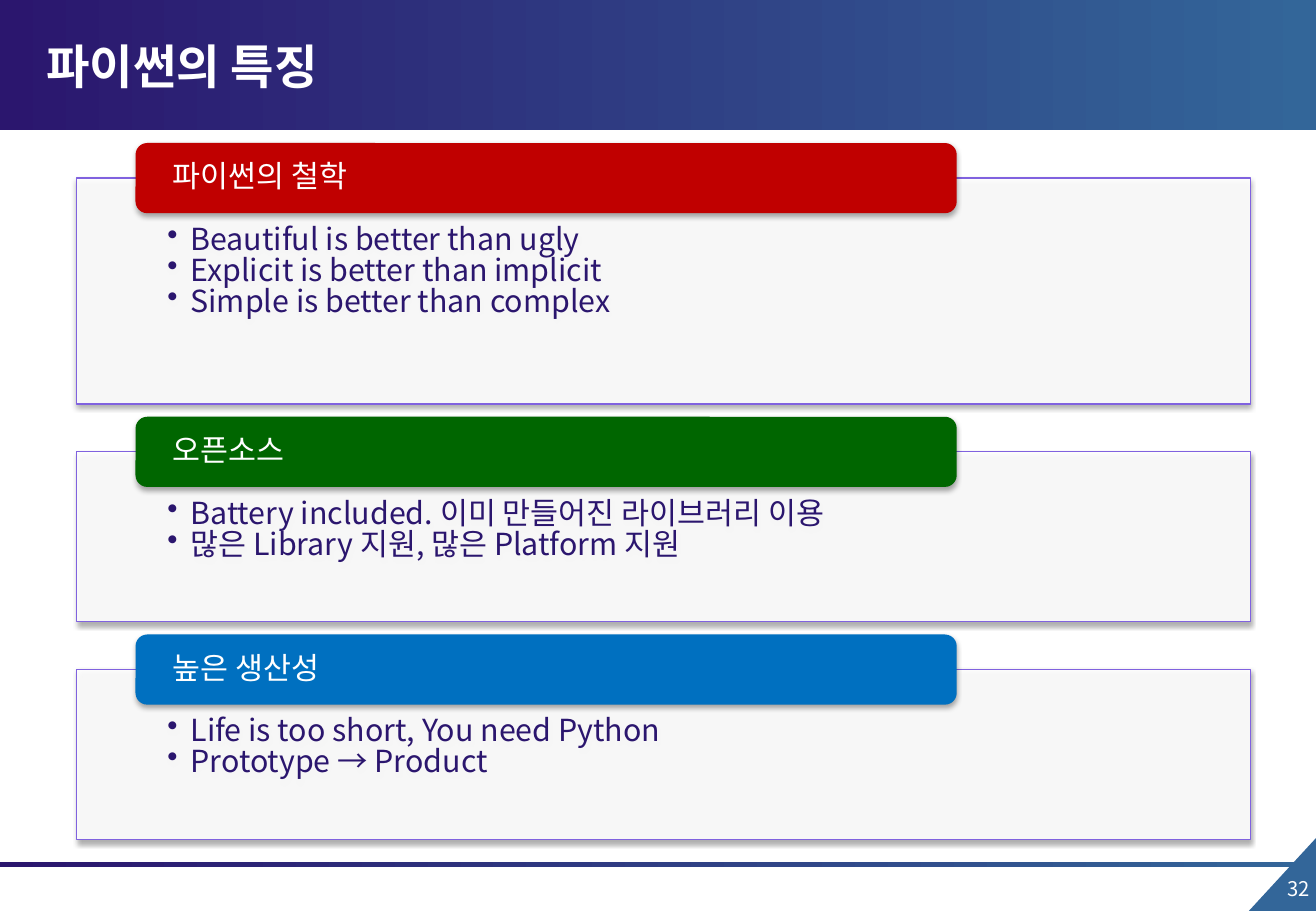
"""Build the slide on the features of Python."""
from lxml.etree import SubElement
from pptx import Presentation
from pptx.dml.color import RGBColor
from pptx.enum.shapes import MSO_SHAPE as Shape
from pptx.enum.text import MSO_ANCHOR as Anchor, MSO_AUTO_SIZE as AutoSize, PP_ALIGN as Align
from pptx.oxml.ns import qn
from pptx.util import Inches, Pt

TITLE = "파이썬의 특징"
PAGE_NUMBER = "32"
SECTIONS = [
    ("파이썬의 철학", "red", 24.8, [
        "Beautiful is better than ugly",
        "Explicit is better than implicit",
        "Simple is better than complex"]),
    ("오픈소스", "green", 18.65, [
        "Battery included. 이미 만들어진 라이브러리 이용",
        "많은 Library 지원, 많은 Platform 지원"]),
    ("높은 생산성", "blue", 18.65, [
        "Life is too short, You need Python",
        "Prototype → Product"]),
]


class Theme:
    """Colours, type sizes and font of the slide."""
    font = "Noto Sans CJK KR"
    title, text, number = 28, 18, 12
    colours = dict(navy="2B166E", steel="336699", white="FFFFFF", violet="8062DF",
                   black="000000", red="C00000", green="006600", blue="0070C0")


WIDTH, HEIGHT = 10.83, 7.5
PANEL_LEFT, PANEL_WIDTH = 5.8, 89.2
TAG_LEFT, TAG_WIDTH, TAG_HEIGHT = 10.3, 62.4, 7.7
FIRST_TOP, SECTION_GAP = 15.7, 1.4


def colour(name):
    return RGBColor.from_string(Theme.colours[name])


def place(left, top, width, height):
    """Turn percentages of the slide into lengths."""
    return (Inches(left * WIDTH / 100), Inches(top * HEIGHT / 100),
            Inches(width * WIDTH / 100), Inches(height * HEIGHT / 100))


def assign(target, values):
    for name, value in values.items():
        setattr(target, name, value)


def add_block(page, kind, area, fill, line=None):
    """Add a shape with one fill colour, or two for a gradient."""
    block = page.shapes.add_shape(kind, *place(*area))
    block.shadow.inherit = False
    if isinstance(fill, tuple):
        block.fill.gradient()
        block.fill.gradient_angle = 0
        for stop, name in zip(block.fill.gradient_stops, fill):
            stop.color.rgb = colour(name)
    else:
        block.fill.solid()
        block.fill.fore_color.rgb = colour(fill)
    if line:
        block.line.color.rgb = colour(line)
        block.line.width = Pt(0.75)
    else:
        block.line.fill.background()
    return block


def add_alpha(parent, percent):
    SubElement(parent, qn("a:alpha"), val=str(percent * 1000))


def add_shadow(block):
    effects = block._element.spPr.find(qn("a:effectLst"))
    shadow = SubElement(effects, qn("a:outerShdw"), blurRad=str(Pt(3.1)), dist=str(Pt(1.8)),
                        dir="5400000", algn="t", rotWithShape="0")
    shade = SubElement(shadow, qn("a:srgbClr"), val=Theme.colours["black"])
    add_alpha(shade, 35)


def write(box, lines, size, ink, bold=False, align=Align.LEFT, spacing=1.0,
          bullets=False, **frame_format):
    """Write paragraphs into a box."""
    frame = box.text_frame
    assign(frame, dict(word_wrap=True, auto_size=AutoSize.NONE) | frame_format)
    for index, line in enumerate(lines):
        para = frame.add_paragraph() if index else frame.paragraphs[0]
        assign(para, dict(alignment=align, line_spacing=spacing,
                          space_before=Pt(0), space_after=Pt(0)))
        if bullets:
            props = para._p.get_or_add_pPr()
            props.set("marL", str(Inches(0.19)))
            props.set("indent", str(Inches(-0.19)))
            SubElement(props, qn("a:buChar"), char="•")
        span = para.add_run()
        span.text = line
        assign(span.font, dict(name=Theme.font, size=Pt(size), bold=bold))
        span.font.color.rgb = colour(ink)
        SubElement(span._r.rPr, qn("a:ea"), typeface=Theme.font)


def add_frame(page):
    """Add the banner, the footer rule, the page number and the title."""
    corner = add_block(page, Shape.RIGHT_TRIANGLE, (94.65, 92.1, 5.72, 7.6), "steel")
    corner.rotation = 270
    for top, height in ((94.65, 0.5), (0, 14.27)):
        add_block(page, Shape.RECTANGLE, (0, top, 100, height), ("navy", "steel"))
    number = page.shapes.add_textbox(*place(94.8, 95.5, 5.66, 5.4))
    write(number, [PAGE_NUMBER], Theme.number, "white", align=Align.RIGHT)
    title = page.shapes.title
    page.shapes._spTree.append(title._element)
    assign(title, dict(zip(("left", "top", "width", "height"), place(2.6, 3.07, 75, 8.27))))
    write(title, [TITLE], Theme.title, "white", bold=True, vertical_anchor=Anchor.MIDDLE)


def add_section(page, top, heading, tag_fill, height, items):
    """Add a bulleted panel with its heading tag and return the panel's bottom."""
    panel_top = top + TAG_HEIGHT / 2
    panel = add_block(page, Shape.RECTANGLE,
                      (PANEL_LEFT, panel_top, PANEL_WIDTH, height), "white", "violet")
    add_alpha(panel._element.spPr.find(qn("a:solidFill"))[0], 90)
    write(panel, items, Theme.text, "navy", spacing=0.85, bullets=True,
          vertical_anchor=Anchor.TOP, margin_left=Inches(0.75),
          margin_right=Inches(0.75), margin_top=Inches(0.39))
    tag = add_block(page, Shape.ROUNDED_RECTANGLE,
                    (TAG_LEFT, top, TAG_WIDTH, TAG_HEIGHT), tag_fill)
    write(tag, [heading], Theme.text, "white", spacing=0.9, vertical_anchor=Anchor.MIDDLE,
          margin_left=Inches(0.28), margin_top=0, margin_bottom=0)
    for block in (panel, tag):
        add_shadow(block)
    return panel_top + height


def main():
    deck = Presentation()
    assign(deck, dict(slide_width=Inches(WIDTH), slide_height=Inches(HEIGHT)))
    page = deck.slides.add_slide(deck.slide_layouts[5])
    add_frame(page)
    top = FIRST_TOP
    for section in SECTIONS:
        top = add_section(page, top, *section) + SECTION_GAP
    deck.save("out.pptx")


if __name__ == "__main__":
    main()
